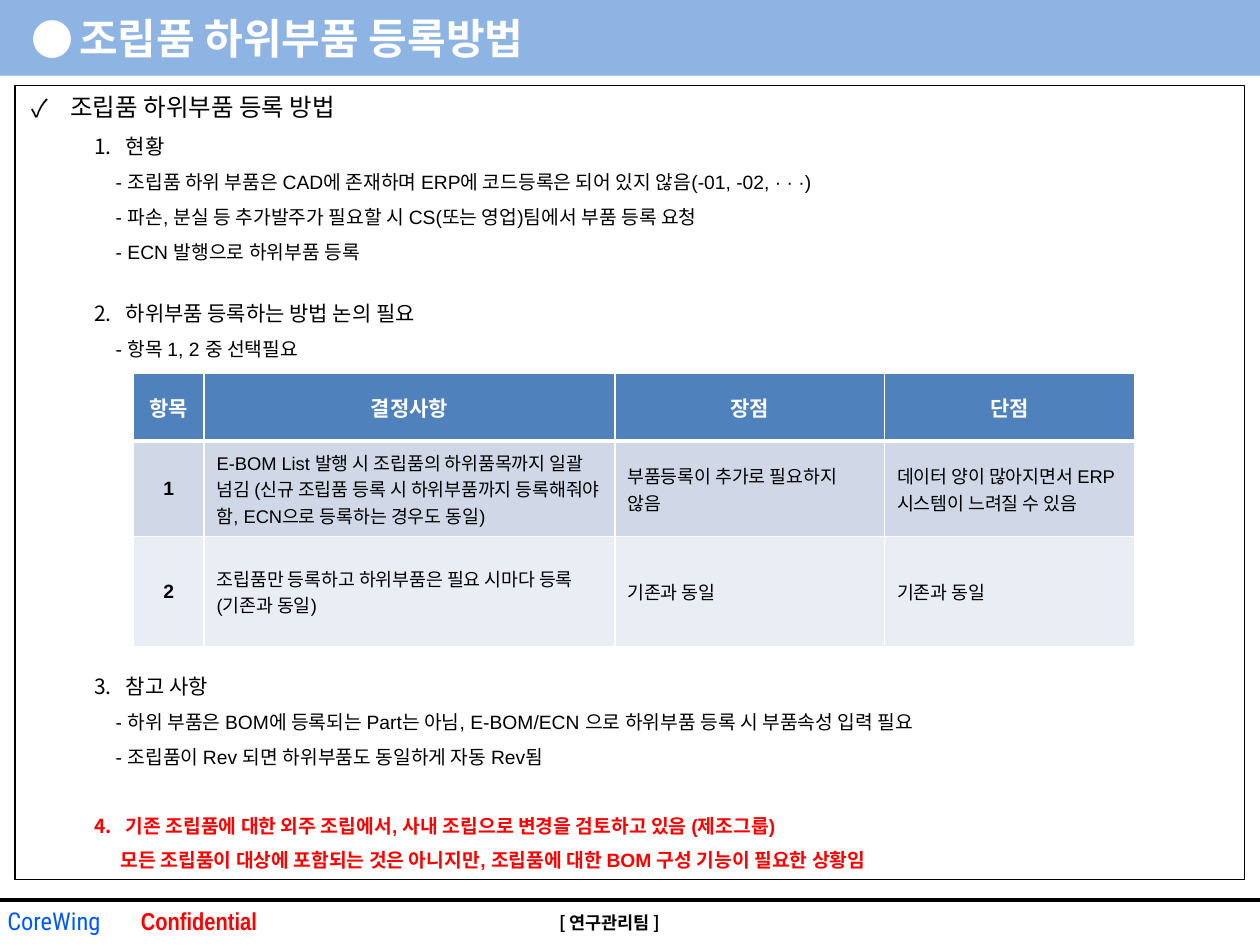
"""Builds the slide on registering sub-parts of assemblies."""
import dataclasses

import lxml.etree
import pptx
import pptx.dml.color
import pptx.enum.shapes
import pptx.enum.text
import pptx.oxml
import pptx.oxml.ns
import pptx.util


@dataclasses.dataclass(frozen=True)
class Theme:
    black: str = "000000"
    white: str = "FFFFFF"
    red: str = "FF0000"
    brand: str = "0059FF"
    banner: str = "8EB4E3"
    table_header: str = "4F81BD"
    table_bands: tuple = ("D0D8E8", "E9EDF4")
    body_font: str = "Arial"
    korean_font: str = "Noto Sans CJK KR"
    brand_font: str = "Roboto Condensed"
    narrow_font: str = "Arial Narrow"
    title: float = 24
    heading: float = 14
    section: float = 12
    body: float = 11
    cell: float = 10.5
    footer: float = 10


theme = Theme()
rgb = pptx.dml.color.RGBColor.from_string
qn = pptx.oxml.ns.qn
align = pptx.enum.text.PP_ALIGN
presentation = pptx.Presentation()
presentation.slide_width = pptx.util.Inches(10)
presentation.slide_height = pptx.util.Inches(7.5)
slide = presentation.slides.add_slide(presentation.slide_layouts[6])
column = presentation.slide_width / 100
row = presentation.slide_height / 75


def grid(left, top, width, height):
    """Turn grid columns and rows into slide lengths."""
    return int(left * column), int(top * row), int(width * column), int(height * row)


def style(paragraph, text, size, color, font=theme.body_font, bold=False, alignment=align.LEFT):
    """Fill a paragraph with text in one font."""
    paragraph.text = text
    paragraph.alignment = alignment
    paragraph.font.name = font
    paragraph.font.size = pptx.util.Pt(size)
    paragraph.font.bold = bold
    paragraph.font.color.rgb = rgb(color)


# fmt: off
banner = slide.shapes.add_shape(pptx.enum.shapes.MSO_SHAPE.RECTANGLE, *grid(0, 0, 100, 6))
banner.shadow.inherit = False
banner.fill.solid()
banner.fill.fore_color.rgb = rgb(theme.banner)
banner.line.fill.background()

frame = slide.shapes.add_shape(pptx.enum.shapes.MSO_SHAPE.RECTANGLE, *grid(1.2, 6.8, 97.6, 63))
frame.shadow.inherit = False
frame.fill.background()
frame.line.color.rgb = rgb(theme.black)
frame.line.width = pptx.util.Pt(0.75)

rule = slide.shapes.add_connector(
    pptx.enum.shapes.MSO_CONNECTOR.STRAIGHT, *grid(0, 71.4, 100, 71.4))
rule.line.color.rgb = rgb(theme.black)
rule.line.width = pptx.util.Pt(2.25)
lxml.etree.SubElement(rule._element.spPr, qn("a:effectLst"))

footers = [
    ((-0.4, 71.4, 15, 3.4), "CoreWing", theme.heading, theme.brand, theme.brand_font, False, align.LEFT),
    ((9.8, 71.4, 11.6, 3.4), "Confidential", theme.heading, theme.red, theme.narrow_font, True, align.RIGHT),
    ((37.4, 71.9, 22, 2.7), "[ 연구관리팀 ]", theme.footer, theme.black, theme.korean_font, True, align.CENTER),
]
for place, *look in footers:
    box = slide.shapes.add_textbox(*grid(*place))
    box.text_frame.word_wrap = True
    style(box.text_frame.paragraphs[0], *look)

title = (theme.title, theme.white, theme.korean_font, True)
heading = (theme.heading, theme.black)
section = (theme.section, theme.black)
body = (theme.body, theme.black)
notice = (theme.body, theme.red, theme.body_font, True)
# Each line: text, look, margin and hang in inches, line spacing, space before, bullet
title_lines = [("조립품 하위부품 등록방법", title, 0.38, 0.38, 1, 0, "●")]
body_lines = [
    ("조립품 하위부품 등록 방법", heading, 0.31, 0.31, 1, 0, "✓"),
    ("현황", section, 0.75, 0.25, 1.5, 0, 1),
    ("- 조립품 하위 부품은 CAD에 존재하며 ERP에 코드등록은 되어 있지 않음(-01, -02, · · ·)", body, 0.67, 0, 1.5, 0, None),
    ("- 파손, 분실 등 추가발주가 필요할 시 CS(또는 영업)팀에서 부품 등록 요청", body, 0.67, 0, 1.5, 0, None),
    ("- ECN 발행으로 하위부품 등록", body, 0.67, 0, 1.5, 0, None),
    ("하위부품 등록하는 방법 논의 필요", section, 0.75, 0.25, 1.5, 14, 2),
    ("- 항목 1, 2 중 선택필요", body, 0.67, 0, 1.5, 0, None),
    ("참고 사항", section, 0.75, 0.25, 1.5, 172, 3),
    ("- 하위 부품은 BOM에 등록되는 Part는 아님, E-BOM/ECN 으로 하위부품 등록 시 부품속성 입력 필요", body, 0.67, 0, 1.5, 0, None),
    ("- 조립품이 Rev 되면 하위부품도 동일하게 자동 Rev됨", body, 0.67, 0, 1.5, 0, None),
    ("기존 조립품에 대한 외주 조립에서, 사내 조립으로 변경을 검토하고 있음 (제조그룹)", notice, 0.75, 0.25, 1.5, 19.5, 4),
    ("모든 조립품이 대상에 포함되는 것은 아니지만, 조립품에 대한 BOM 구성 기능이 필요한 상황임", notice, 0.71, 0, 1.5, 0, None),
]
for place, lines in [((1.5, 0.5, 80, 5), title_lines), ((1.5, 6.8, 96.5, 63), body_lines)]:
    text_frame = slide.shapes.add_textbox(*grid(*place)).text_frame
    text_frame.word_wrap = True
    for index, (text, look, margin, hang, spacing, before, bullet) in enumerate(lines):
        paragraph = text_frame.add_paragraph() if index else text_frame.paragraphs[0]
        style(paragraph, text, *look)
        paragraph.line_spacing = spacing
        paragraph.space_before = pptx.util.Pt(before)
        properties = paragraph._p.get_or_add_pPr()
        properties.set("marL", str(pptx.util.Inches(margin)))
        properties.set("indent", str(-pptx.util.Inches(hang)))
        if bullet:
            bullet_font = lxml.etree.Element(qn("a:buFont"), typeface=theme.korean_font)
            if isinstance(bullet, int):
                mark = lxml.etree.Element(qn("a:buAutoNum"), type="arabicPeriod", startAt=str(bullet))
            else:
                mark = lxml.etree.Element(qn("a:buChar"), char=bullet)
            default_font = properties.find(qn("a:defRPr"))
            default_font.addprevious(bullet_font)
            default_font.addprevious(mark)

rows = [
    ("항목", "결정사항", "장점", "단점"),
    ("1", "E-BOM List 발행 시 조립품의 하위품목까지 일괄 넘김 (신규 조립품 등록 시 하위부품까지 등록해줘야 함, ECN으로 등록하는 경우도 동일)",
     "부품등록이 추가로 필요하지 않음", "데이터 양이 많아지면서 ERP시스템이 느려질 수 있음"),
    ("2", "조립품만 등록하고 하위부품은 필요 시마다 등록(기존과 동일)", "기존과 동일", "기존과 동일"),
]
table = slide.shapes.add_table(3, 4, *grid(10.6, 29.6, 79.5, 21.7)).table
for table_column, share in zip(table.columns, (5.6, 32.6, 21.4, 19.9)):
    table_column.width = int(share * column)
for table_row, share in zip(table.rows, (5.4, 7.6, 8.7)):
    table_row.height = int(share * row)
for row_index, texts in enumerate(rows):
    for column_index, text in enumerate(texts):
        cell = table.cell(row_index, column_index)
        is_header, is_number = row_index == 0, column_index == 0
        size = theme.section if is_header else theme.body if is_number else theme.cell
        style(cell.text_frame.paragraphs[0], text, size,
              theme.white if is_header else theme.black,
              bold=is_header or is_number,
              alignment=align.CENTER if is_header or is_number else align.LEFT)
        cell.vertical_anchor = pptx.enum.text.MSO_ANCHOR.MIDDLE
        for side in "LRTB":
            is_thick = (row_index, side) in ((0, "B"), (1, "T"))
            border = lxml.etree.SubElement(
                cell._tc.get_or_add_tcPr(), qn(f"a:ln{side}"),
                w=str(pptx.util.Pt(3 if is_thick else 1)))
            fill = lxml.etree.SubElement(border, qn("a:solidFill"))
            lxml.etree.SubElement(fill, qn("a:srgbClr"), val=theme.white)
        cell.fill.solid()
        cell.fill.fore_color.rgb = rgb(
            theme.table_header if is_header else theme.table_bands[row_index - 1])

presentation.save("out.pptx")
